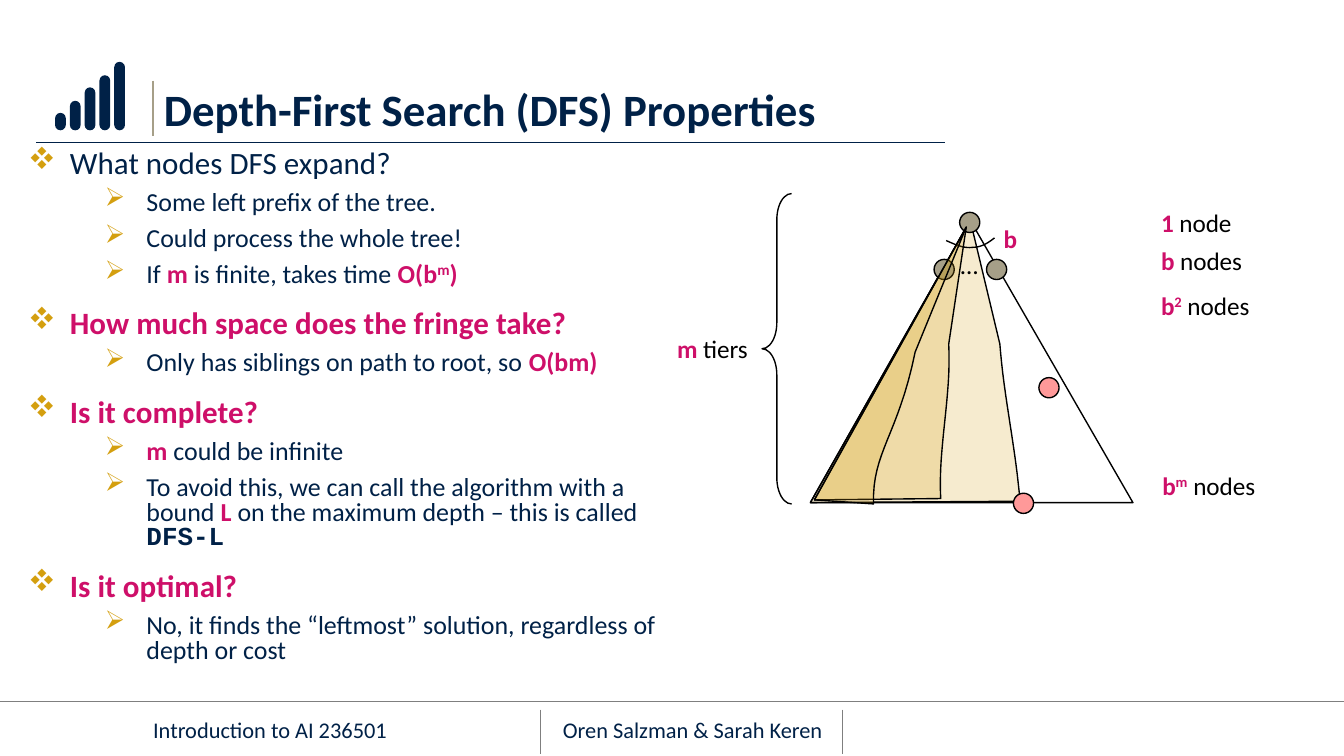
from dataclasses import dataclass

from lxml import etree
from pptx import Presentation
from pptx.dml.color import RGBColor
from pptx.enum.shapes import MSO_CONNECTOR, MSO_SHAPE
from pptx.enum.text import MSO_ANCHOR, PP_ALIGN
from pptx.oxml.ns import qn
from pptx.util import Inches, Pt

STRAIGHT = MSO_CONNECTOR.STRAIGHT
OVAL, BRACE, ROUNDED = MSO_SHAPE.OVAL, MSO_SHAPE.LEFT_BRACE, MSO_SHAPE.ROUNDED_RECTANGLE
TOP, MIDDLE, BOTTOM = MSO_ANCHOR.TOP, MSO_ANCHOR.MIDDLE, MSO_ANCHOR.BOTTOM
LEFT, CENTER = PP_ALIGN.LEFT, PP_ALIGN.CENTER


@dataclass(frozen=True)
class Theme:
    """Colours, fonts and type sizes of the deck."""
    navy: str = "002147"
    accent: str = "CE0F69"
    gold: str = "D49F0F"
    stone: str = "A69F88"
    pink: str = "FF9999"
    grey: str = "7F7F7F"
    black: str = "000000"
    font: str = "Calibri"
    code_font: str = "Courier New"
    bullet_font: str = "Wingdings"
    title: float = 24
    topic: float = 16.65
    detail: float = 13.9
    label: float = 13.5
    footer: float = 12
    thin: float = 0.75
    rule: float = 1


THEME = Theme()
RUN_STYLES = {
    "plain": {},
    "key": {"color": THEME.accent, "bold": True},
    "sup": {"color": THEME.accent, "bold": True, "baseline": 30000},
    "code": {"font": THEME.code_font, "bold": True},
}
LEVELS = (
    {"size": THEME.topic, "margin": 0.31, "bullet": "v", "before": 12},
    {"size": THEME.detail, "margin": 0.88, "bullet": "Ø", "before": 6},
)
HANGING = 0.31

OUTLINE = [
    (0, [("What nodes DFS expand?", "plain")]),
    (1, [("Some left prefix of the tree.", "plain")]),
    (1, [("Could process the whole tree!", "plain")]),
    (1, [("If ", "plain"), ("m", "key"), (" is finite, takes time ", "plain"),
         ("O(b", "key"), ("m", "sup"), (")", "key")]),
    (0, [("How much space does the fringe take?", "key")]),
    (1, [("Only has siblings on path to root, so ", "plain"), ("O(bm)", "key")]),
    (0, [("Is it complete?", "key")]),
    (1, [("m", "key"), (" could be infinite", "plain")]),
    (1, [("To avoid this, we can call the algorithm with a bound ", "plain"), ("L", "key"),
         (" on the maximum depth – this is called ", "plain"), ("DFS-L", "code")]),
    (0, [("Is it optimal?", "key")]),
    (1, [("No, it finds the “leftmost” solution, regardless of depth or cost", "plain")]),
]


def add_run(paragraph, text, size, color, bold=False, font=THEME.font, baseline=None):
    """Append one formatted run."""
    run = paragraph.add_run()
    run.text = text
    run.font.size, run.font.bold, run.font.name = Pt(size), bold, font
    run.font.color.rgb = RGBColor.from_string(color)
    if baseline:
        run._r.get_or_add_rPr().set("baseline", str(baseline))


def set_bullet(paragraph, level):
    """Give a paragraph the bullet and indent of its outline level."""
    style = LEVELS[level]
    paragraph.level = level
    properties = paragraph._p.get_or_add_pPr()
    properties.set("marL", str(Inches(style["margin"])))
    properties.set("indent", str(-Inches(HANGING)))
    bullet_color = etree.SubElement(properties, qn("a:buClr"))
    etree.SubElement(bullet_color, qn("a:srgbClr"), val=THEME.gold)
    etree.SubElement(properties, qn("a:buFont"), typeface=THEME.bullet_font,
                     pitchFamily="2", charset="2")
    etree.SubElement(properties, qn("a:buChar"), char=style["bullet"])


def add_text(slide, box, paragraphs, size=None, color=THEME.navy, bold=False, align=LEFT,
             anchor=TOP, insets=(0, 0, 0, 0), spacing=None):
    """Add a text box from (level, runs) pairs; a level of None means no bullet."""
    frame = slide.shapes.add_textbox(*map(Inches, box)).text_frame
    frame.word_wrap, frame.vertical_anchor = True, anchor
    (frame.margin_left, frame.margin_top,
     frame.margin_right, frame.margin_bottom) = map(Inches, insets)
    for index, (level, runs) in enumerate(paragraphs):
        paragraph = frame.add_paragraph() if index else frame.paragraphs[0]
        if level is not None:
            set_bullet(paragraph, level)
            if index:
                paragraph.space_before = Pt(LEVELS[level]["before"])
        paragraph.alignment = align
        if spacing:
            paragraph.line_spacing = spacing
        for text, style in runs:
            base = {"size": size or LEVELS[level]["size"], "color": color, "bold": bold}
            add_run(paragraph, text, **{**base, **RUN_STYLES[style]})


def add_line(slide, start, end, color, width):
    """Add a straight rule without a shadow."""
    line = slide.shapes.add_connector(STRAIGHT, *map(Inches, (*start, *end)))
    line.line.color.rgb, line.line.width = RGBColor.from_string(color), Pt(width)
    etree.SubElement(line._element.spPr, qn("a:effectLst"))


def paint(shape, fill=None, line=THEME.black, opacity=None):
    """Set fill and outline of a shape; None leaves that part empty."""
    shape.shadow.inherit = False
    if fill:
        shape.fill.solid()
        shape.fill.fore_color.rgb = RGBColor.from_string(fill)
    else:
        shape.fill.background()
    if opacity:
        color = shape._element.spPr.find(qn("a:solidFill")).find(qn("a:srgbClr"))
        etree.SubElement(color, qn("a:alpha"), val=str(opacity * 1000))
    if line:
        shape.line.color.rgb, shape.line.width = RGBColor.from_string(line), Pt(THEME.thin)
    else:
        shape.line.fill.background()


def add_preset(slide, kind, box, adjustments=(), **colors):
    """Add a painted preset shape."""
    shape = slide.shapes.add_shape(kind, *map(Inches, box))
    for index, value in enumerate(adjustments):
        shape.adjustments[index] = value
    paint(shape, **colors)


def bezier(start, curve, steps=16):
    """Return points along a cubic curve given as two controls and an end."""
    xs, ys = (start[0], *curve[::2]), (start[1], *curve[1::2])
    points = []
    for step in range(1, steps + 1):
        t = step / steps
        weights = ((1 - t) ** 3, 3 * t * (1 - t) ** 2, 3 * t * t * (1 - t), t ** 3)
        points.append(tuple(sum(w * v for w, v in zip(weights, vs)) for vs in (xs, ys)))
    return points


def add_outline(slide, origin, start, segments, close=True, **colors):
    """Add a freeform; pairs are corners and sextuples are cubic curves."""
    points = [start]
    for segment in segments:
        points += [segment] if len(segment) == 2 else bezier(points[-1], segment)
    placed = [(Inches(origin[0] + x), Inches(origin[1] + y)) for x, y in points]
    builder = slide.shapes.build_freeform(*placed[0])
    builder.add_line_segments(placed[1:], close=close)
    paint(builder.convert_to_shape(), **colors)


def draw_header(slide, box, title):
    """Draw the bar icon, the title and its rules."""
    x, y, width, height = box
    bar, pitch, base = 0.08, 0.11, y + 0.71
    for index, bar_height in enumerate((0.13, 0.22, 0.32, 0.41, 0.51)):
        add_preset(slide, ROUNDED, (x + 0.14 + index * pitch, base - bar_height, bar, bar_height),
                   adjustments=(0.5,), fill=THEME.navy, line=None)
    add_line(slide, (x, y + height), (x + width, y + height), THEME.navy, THEME.rule)
    add_line(slide, (x + 0.87, y + 0.34), (x + 0.87, y + 0.75), THEME.stone, THEME.rule)
    add_text(slide, (x + 0.95, y, 8.53, height), [(None, [(title, "plain")])], size=THEME.title,
             bold=True, anchor=BOTTOM, insets=(0, 0, 0, 0.05), spacing=0.9)


def draw_footer(slide, box, course, authors):
    """Draw the footer rule, separators and captions."""
    x, y, width, height = box
    add_line(slide, (x, y), (x + width, y), THEME.grey, THEME.thin)
    for separator in (4.02, 6.27):
        add_line(slide, (x + separator, y + 0.06), (x + separator, y + 0.39),
                 THEME.grey, THEME.thin)
    for caption, left, top, span, tall in ((course, 0, 0.03, 4.02, 0.36),
                                           (authors, 4.03, 0.01, 2.25, height)):
        add_text(slide, (x + left, y + top, span, tall), [(None, [(caption, "plain")])],
                 size=THEME.footer, align=CENTER, anchor=MIDDLE)


def draw_tree(slide, box):
    """Draw the search tree with its explored wedges, nodes and tier labels."""
    x, y, _, height = box
    wedge = {"fill": THEME.gold, "opacity": 20}
    add_outline(slide, (x, y), (1.09, 2.3),
                [(2.65, 2.29), (2.62, 1.91, 2.53, 1.51, 2.5, 1.12), (2.28, 0.2)], **wedge)
    add_outline(slide, (x, y), (1.09, 2.3), [(3.49, 2.3), (2.28, 0.2)])
    node = 0.15
    for left, top in ((2.2, 0.14), (2.01, 0.49), (2.4, 0.49)):
        add_preset(slide, OVAL, (x + left, y + top, node, node), fill=THEME.stone)
    add_outline(slide, (x, y), (2.1, 0.35),
                [(2.17, 0.38, 2.23, 0.41, 2.3, 0.4), (2.36, 0.4, 2.41, 0.37, 2.46, 0.33)],
                close=False)
    labels = (
        (2.11, 0.37, 0.23, [("…", "plain")]),
        (2.43, 0.17, 0.24, [("b", "key")]),
        (3.6, 0.05, 0.92, [("1", "key"), (" node", "plain")]),
        (3.6, 0.34, 0.92, [("b", "key"), (" nodes", "plain")]),
        (3.6, 0.67, 0.92, [("b", "key"), ("2", "sup"), (" nodes", "plain")]),
        (3.61, 2.01, 1.2, [("b", "key"), ("m", "sup"), (" nodes", "plain")]),
        (0, 0.99, 1.04, [("m", "key"), (" tiers", "plain")]),
    )
    for left, top, span, runs in labels:
        add_text(slide, (x + left, y + top, span, 0.33), [(None, runs)], size=THEME.label,
                 color=THEME.black, insets=(0.1, 0.05, 0.1, 0.05))
    add_preset(slide, BRACE, (x + 0.73, y, 0.22, height), adjustments=(0.884, 0.5))
    for corner, curve in (((2.06, 2.27), (2.04, 1.89, 2.14, 1.51, 2.12, 1.12)),
                          ((1.56, 2.31), (1.55, 1.92, 1.74, 1.81, 1.87, 1.18))):
        add_outline(slide, (x, y), (1.12, 2.28), [corner, curve, (2.25, 0.25)], **wedge)
    for left, top in ((2.6, 2.23), (2.79, 1.37)):
        add_preset(slide, OVAL, (x + left, y + top, node, node), fill=THEME.pink)


def main():
    """Build and save the slide."""
    deck = Presentation()
    deck.slide_width, deck.slide_height = Inches(10), Inches(10) * 9 // 16
    slide = deck.slides.add_slide(deck.slide_layouts[6])
    draw_footer(slide, (0, 5.22, 10, 0.4), "Introduction to AI 236501",
                "Oren Salzman & Sarah Keren")
    draw_header(slide, (0.27, 0.26, 6.76, 0.8), "Depth-First Search (DFS) Properties")
    add_text(slide, (0.21, 1.12, 4.89, 3.88), OUTLINE, spacing=0.8)
    draw_tree(slide, (4.94, 1.44, 4.81, 2.31))
    deck.save("out.pptx")


if __name__ == "__main__":
    main()
